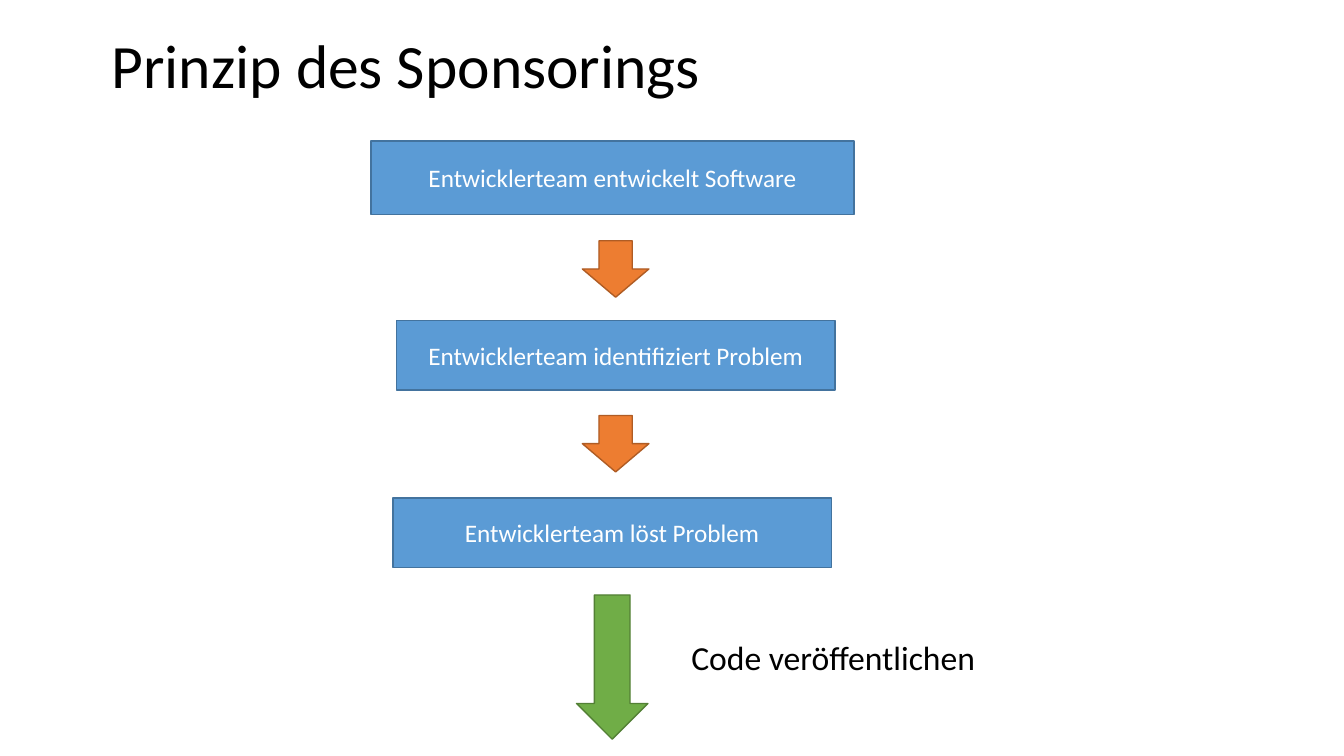
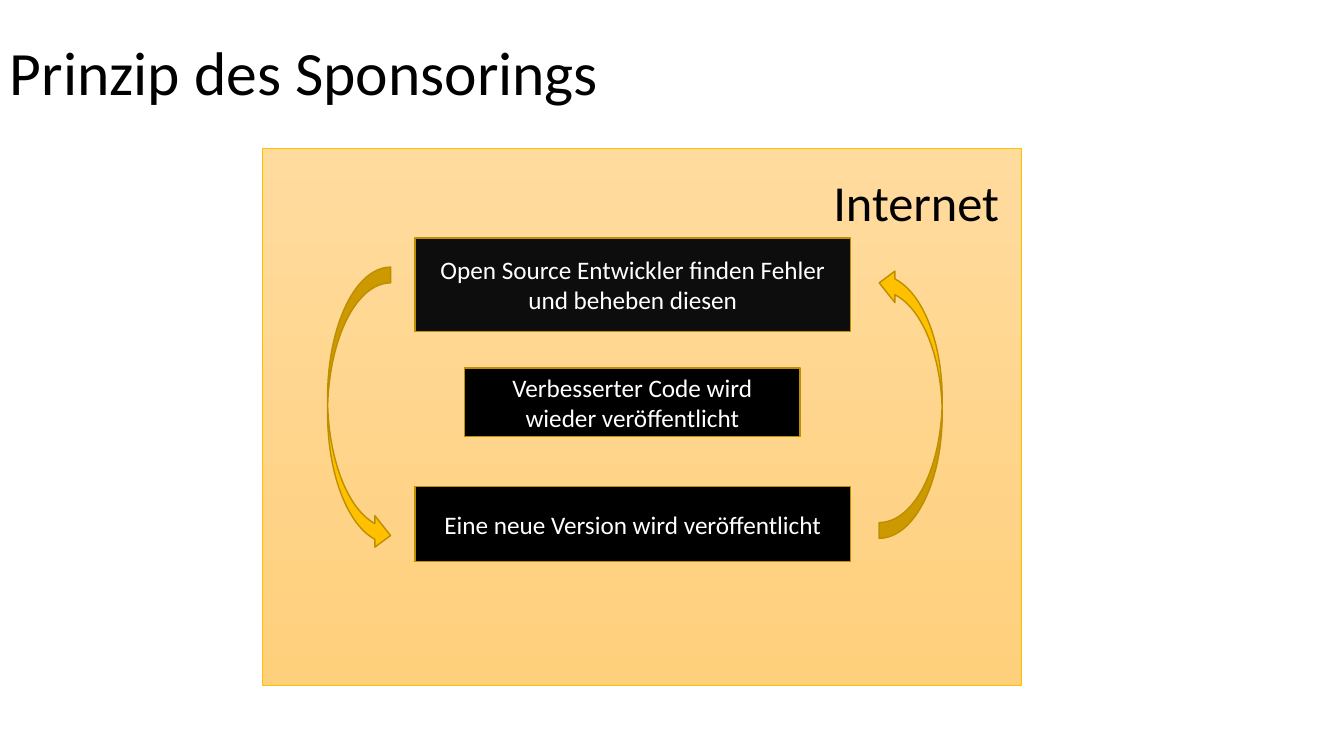
from pptx import Presentation
from pptx.dml.color import RGBColor
from pptx.enum.shapes import MSO_SHAPE
from pptx.enum.text import MSO_ANCHOR, PP_ALIGN
from pptx.util import Pt

PROCESS = MSO_SHAPE.FLOWCHART_PROCESS
RECT = MSO_SHAPE.RECTANGLE
DOWN = MSO_SHAPE.DOWN_ARROW
CURVED = MSO_SHAPE.CURVED_RIGHT_ARROW
MIDDLE, TOP = MSO_ANCHOR.MIDDLE, MSO_ANCHOR.TOP
CENTER = PP_ALIGN.CENTER


class Theme:
    font = "Calibri"
    title, panel, label, body = 44, 36, 24, 18
    black = RGBColor.from_string("000000")
    near_black = RGBColor.from_string("0D0D0D")
    white = RGBColor.from_string("FFFFFF")
    blue = RGBColor.from_string("5B9BD5")
    blue_edge = RGBColor.from_string("43739E")
    orange = RGBColor.from_string("ED7D31")
    orange_edge = RGBColor.from_string("AF5C24")
    green = RGBColor.from_string("70AD47")
    green_edge = RGBColor.from_string("538035")
    gold = RGBColor.from_string("FFC000")
    gold_edge = RGBColor.from_string("BD8E00")
    panel_top = RGBColor.from_string("FFDB9E")
    panel_bottom = RGBColor.from_string("FFD07C")


def add_shape(s, kind, box, fill, edge, text="", weight=1):
    sp = s.shapes.add_shape(kind, *map(Pt, box))
    sp.shadow.inherit = False
    if fill:
        sp.fill.solid()
        sp.fill.fore_color.rgb = fill
    sp.line.color.rgb = edge
    sp.line.width = Pt(weight)
    if text:
        tf = sp.text_frame
        tf.word_wrap = True
        tf.vertical_anchor = MIDDLE
        p = tf.paragraphs[0]
        p.text = text
        p.alignment = CENTER
        p.font.name = Theme.font
        p.font.size = Pt(Theme.body)
        p.font.color.rgb = Theme.white
    return sp


def add_text(s, box, text, size, anchor=TOP, spacing=1.0):
    tf = s.shapes.add_textbox(*map(Pt, box)).text_frame
    tf.word_wrap = True
    tf.vertical_anchor = anchor
    p = tf.paragraphs[0]
    p.text = text
    p.line_spacing = spacing
    p.font.name = Theme.font
    p.font.size = Pt(size)
    p.font.color.rgb = Theme.black


prs = Presentation()
prs.slide_width, prs.slide_height = Pt(960), Pt(540)
slides = []
for title_box in ((72.7, -3.6, 715, 104.4), (0, 1.4, 828, 104.4)):
    s = prs.slides.add_slide(prs.slide_layouts[6])
    add_text(s, title_box, "Prinzip des Sponsorings", Theme.title, MIDDLE, 0.9)
    slides.append(s)
flow, cycle = slides

for box, text in (
    ((265, 100.8, 345, 52.6), "Entwicklerteam entwickelt Software"),
    ((283.2, 229, 313.2, 49.7), "Entwicklerteam identifiziert Problem"),
    ((280.6, 355.6, 313.2, 49.7), "Entwicklerteam löst Problem"),
):
    add_shape(flow, PROCESS, box, Theme.blue, Theme.blue_edge, text)
for top in (172, 296.8):
    add_shape(flow, DOWN, (416, top, 47.5, 40.3), Theme.orange, Theme.orange_edge)
add_shape(flow, DOWN, (411.8, 425, 51, 103), Theme.green, Theme.green_edge)
add_text(flow, (486.7, 451.4, 219, 36), "Code veröffentlichen", Theme.label)

panel = add_shape(cycle, RECT, (187.3, 106, 542.2, 383.6), None, Theme.gold, weight=0.5)
panel.fill.gradient()
panel.fill.gradient_angle = 270
for stop, color in zip(panel.fill.gradient_stops, (Theme.panel_top, Theme.panel_bottom)):
    stop.color.rgb = color
add_text(cycle, (588.2, 118.8, 141.8, 51), "Internet", Theme.panel)

for box, fill, text in (
    ((296.5, 170, 311, 66.6), Theme.near_black,
     "Open Source Entwickler finden Fehler und beheben diesen"),
    ((332, 262.8, 239.4, 49), Theme.black,
     "Verbesserter Code wird wieder veröffentlicht"),
    ((296.5, 347.6, 311, 53.3), Theme.black,
     "Eine neue Version wird veröffentlicht"),
):
    add_shape(cycle, PROCESS, box, fill, Theme.gold_edge, text)
for left, height, turn in ((234, 203, 0), (628, 193.7, 180)):
    sp = add_shape(cycle, CURVED, (left, 190.8, 45, height), Theme.gold, Theme.gold_edge)
    sp.rotation = turn

prs.save("out.pptx")
